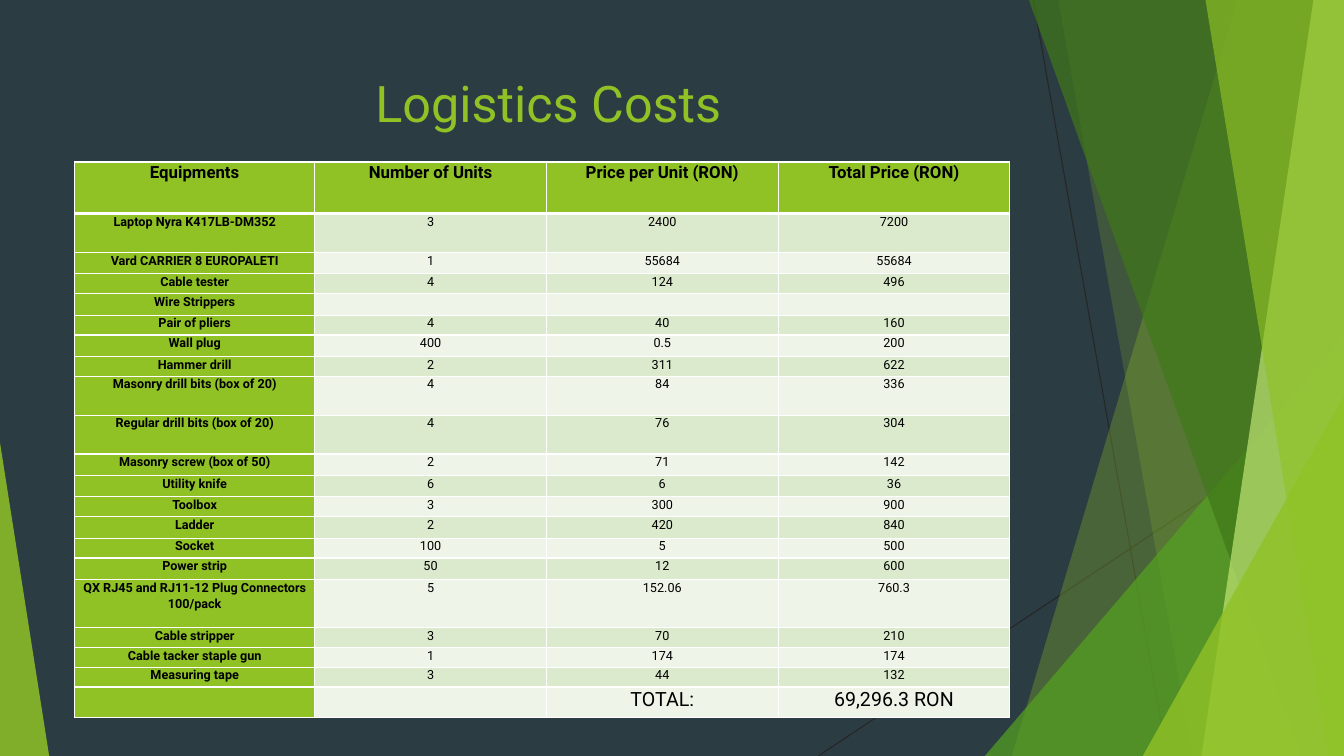
from lxml.etree import SubElement
from pptx import Presentation
from pptx.dml.color import RGBColor
from pptx.enum.shapes import MSO_CONNECTOR as Connector, MSO_SHAPE as Shape
from pptx.enum.text import MSO_ANCHOR as Anchor, PP_ALIGN as Align
from pptx.oxml import parse_xml
from pptx.oxml.ns import nsdecls, qn
from pptx.util import Cm, Pt

SLATE = RGBColor(0x2C, 0x3C, 0x43)
LIME = RGBColor(0x90, 0xC2, 0x26)
GREEN = RGBColor(0x54, 0xA0, 0x21)
FOREST = RGBColor(0x3F, 0x78, 0x19)
PALE_LIME = RGBColor(0xC0, 0xE4, 0x74)
CHARCOAL = RGBColor(0x26, 0x26, 0x26)
BLACK = RGBColor(0, 0, 0)
WHITE = RGBColor(0xFF, 0xFF, 0xFF)
BANDS = (RGBColor(0xEE, 0xF4, 0xE8), RGBColor(0xDB, 0xE9, 0xCD))

FONT = "Roboto"
WIDTH, HEIGHT = 33.87, 19.05
TITLE = "Logistics Costs"
TITLE_BOX = {"left": Cm(1.88), "top": Cm(1.7), "width": Cm(23.88), "height": Cm(2.39)}
TABLE_LEFT, TABLE_TOP = 1.88, 4.08
COLUMN_WIDTHS = (6.05, 5.84, 5.84, 5.84)

COSTS = [
    (1.3, "Equipments", "Number of Units", "Price per Unit (RON)", "Total Price (RON)"),
    (0.98, "Laptop Nyra K417LB-DM352", "3", "2400", "7200"),
    (0.54, "Vard CARRIER 8 EUROPALETI", "1", "55684", "55684"),
    (0.5, "Cable tester", "4", "124", "496"),
    (0.54, "Wire Strippers", "", "", ""),
    (0.5, "Pair of pliers", "4", "40", "160"),
    (0.54, "Wall plug", "400", "0.5", "200"),
    (0.5, "Hammer drill", "2", "311", "622"),
    (0.98, "Masonry drill bits (box of 20)", "4", "84", "336"),
    (0.98, "Regular drill bits (box of 20)", "4", "76", "304"),
    (0.54, "Masonry screw (box of 50)", "2", "71", "142"),
    (0.54, "Utility knife", "6", "6", "36"),
    (0.5, "Toolbox", "3", "300", "900"),
    (0.54, "Ladder", "2", "420", "840"),
    (0.5, "Socket", "100", "5", "500"),
    (0.54, "Power strip", "50", "12", "600"),
    (1.21, "QX RJ45 and RJ11-12 Plug Connectors 100/pack", "5", "152.06", "760.3"),
    (0.5, "Cable stripper", "3", "70", "210"),
    (0.5, "Cable tacker staple gun", "1", "174", "174"),
    (0.5, "Measuring tape", "3", "44", "132"),
    (0.78, "", "", "TOTAL:", "69,296.3 RON"),
]

THIN_LINES = [(26.04, 0, 29.41, HEIGHT), (WIDTH, 10.24, 20.62, HEIGHT)]
FACETS = [
    ("band", (31.19, 25.5), LIME, 30),
    ("band", (26.67, 30.05), LIME, 20),
    ("triangle", (24.82, 8.46, WIDTH, 1), GREEN, 72),
    ("band", (25.93, 32.79), FOREST, 70),
    ("band", (33.1, 30.28), PALE_LIME, 70),
    ("band", (30.38, 33.48), LIME, 65),
    ("triangle", (28.8, 9.98, WIDTH, 1), LIME, 80),
    ("triangle", (0, 11.15, 1.24, 0), LIME, 85),
]


def apply(target, values):
    for name, value in values.items():
        setattr(target, name, value)


def add_thin_line(slide, ends):
    line = slide.shapes.add_connector(Connector.STRAIGHT, *map(Cm, ends))
    line.line.color.rgb = CHARCOAL
    line.line.width = Pt(0.75)
    SubElement(line._element.spPr, qn("a:effectLst"))


def add_facet(slide, kind, geometry, color, opacity):
    if kind == "band":
        top_x, bottom_x = geometry
        corners = [(WIDTH, 0), (WIDTH, HEIGHT), (bottom_x, HEIGHT)]
        builder = slide.shapes.build_freeform(Cm(top_x), 0)
        builder.add_line_segments([(Cm(x), Cm(y)) for x, y in corners])
        shape = builder.convert_to_shape()
    else:
        left, top, right, apex = geometry
        box = map(Cm, (left, top, right - left, HEIGHT - top))
        shape = slide.shapes.add_shape(Shape.ISOSCELES_TRIANGLE, *box)
        shape.adjustments[0] = apex
    shape.shadow.inherit = False
    shape.line.fill.background()
    shape.fill.solid()
    shape.fill.fore_color.rgb = color
    tint = shape._element.spPr.find(qn("a:solidFill"))[0]
    SubElement(tint, qn("a:alpha"), val=str(opacity * 1000))


def add_borders(cell, top, bottom):
    properties = cell._tc.get_or_add_tcPr()
    sides = {"L": 1, "R": 1, "T": top, "B": bottom}
    for index, (side, points) in enumerate(sides.items()):
        properties.insert(index, parse_xml(
            f'<a:ln{side} {nsdecls("a")} w="{Pt(points)}"><a:solidFill>'
            f'<a:srgbClr val="{WHITE}"/></a:solidFill></a:ln{side}>'))


def fill_cell(cell, text, row, column):
    header, total = row == 0, row == len(COSTS) - 1
    size = 12 if header else 14 if total and text else 9
    green = header or column == 0
    apply(cell, {"margin_left": Cm(0.16), "margin_right": Cm(0.16),
                 "margin_top": 0, "margin_bottom": 0})
    cell.fill.solid()
    cell.fill.fore_color.rgb = LIME if green else BANDS[row % 2]
    paragraph = cell.text_frame.paragraphs[0]
    apply(paragraph, {"alignment": Align.CENTER, "line_spacing": 1.07})
    if text:
        run = paragraph.add_run()
        run.text = text
        apply(run.font, {"name": FONT, "size": Pt(size), "bold": green})
        run.font.color.rgb = BLACK
    else:
        SubElement(paragraph._p, qn("a:endParaRPr"), sz=str(size * 100))
    add_borders(cell, 3 if row == 1 else 1, 3 if header else 1)


def add_cost_table(slide):
    heights = [row[0] for row in COSTS]
    size = map(Cm, (TABLE_LEFT, TABLE_TOP, sum(COLUMN_WIDTHS), sum(heights)))
    table = slide.shapes.add_table(len(COSTS), len(COLUMN_WIDTHS), *size).table
    apply(table, {"first_row": False, "horz_banding": False})
    for column, width in zip(table.columns, COLUMN_WIDTHS):
        column.width = Cm(width)
    for row, (height, *texts) in enumerate(COSTS):
        table.rows[row].height = Cm(height)
        for column, text in enumerate(texts):
            fill_cell(table.cell(row, column), text, row, column)


def add_title(slide):
    title = slide.shapes.title
    apply(title, TITLE_BOX)
    title.text_frame.text = TITLE
    apply(title.text_frame, {"vertical_anchor": Anchor.TOP, "word_wrap": True})
    paragraph = title.text_frame.paragraphs[0]
    paragraph.alignment = Align.CENTER
    font = paragraph.runs[0].font
    apply(font, {"name": FONT, "size": Pt(36)})
    font.color.rgb = LIME


def main():
    presentation = Presentation()
    apply(presentation, {"slide_width": Cm(WIDTH), "slide_height": Cm(HEIGHT)})
    slide = presentation.slides.add_slide(presentation.slide_layouts[5])
    slide.background.fill.solid()
    slide.background.fill.fore_color.rgb = SLATE
    for ends in THIN_LINES:
        add_thin_line(slide, ends)
    for facet in FACETS:
        add_facet(slide, *facet)
    add_title(slide)
    add_cost_table(slide)
    presentation.save("out.pptx")


if __name__ == "__main__":
    main()
